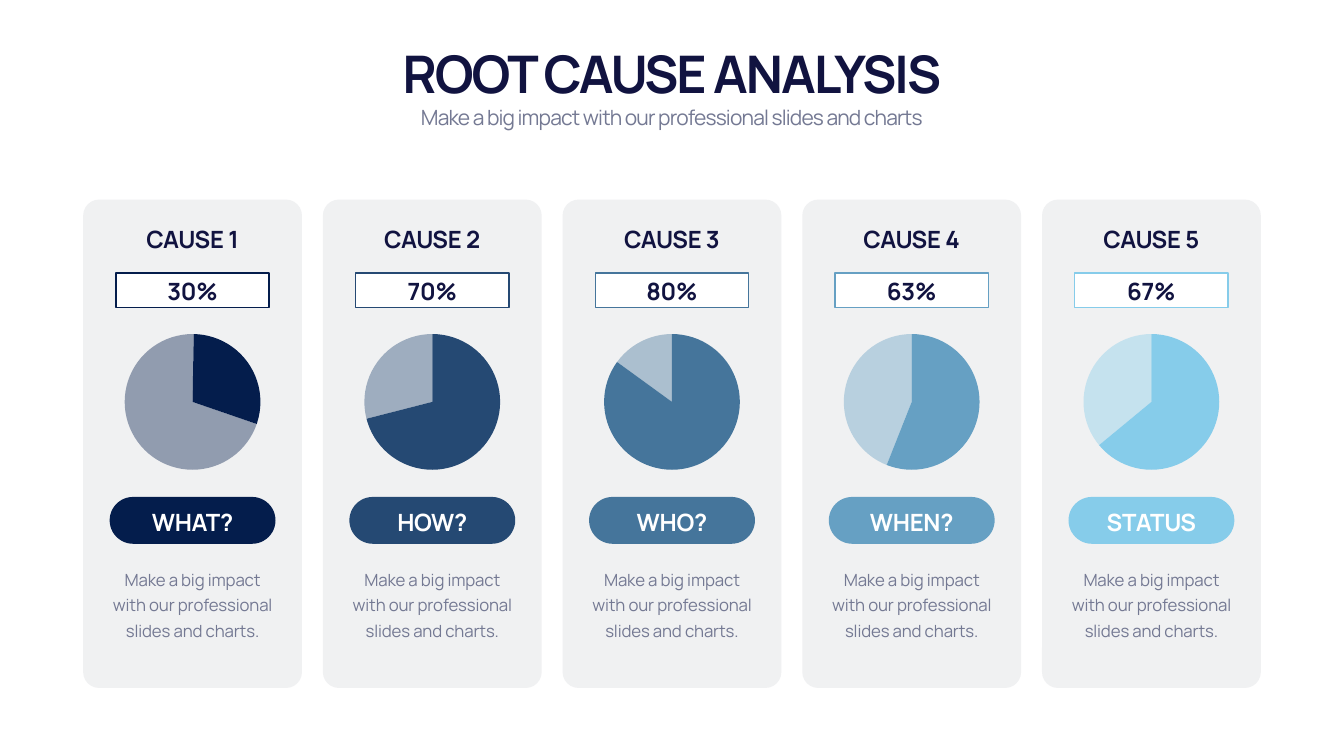
from pptx import Presentation
from pptx.chart import data
from pptx.dml.color import RGBColor
from pptx.enum import chart as charts, shapes, text
from pptx.oxml import parse_xml
from pptx.oxml.ns import nsdecls, qn
from pptx.util import Inches, Pt
from lxml import etree

FONT = "Manrope"
NAVY, GREY, WHITE, PANEL = "111340", "747993", "FFFFFF", "C4C8CE"
BLURB = "Make a big impact with our professional slides and charts."

# Label, percentage, colour, pie values, start angle, index of the solid slice
CAUSES = [
    ("WHAT?", "30%", "041D4C", (70, 30), 109, 1),
    ("HOW?", "70%", "254973", (71, 29), 0, 0),
    ("WHO?", "80%", "45759B", (85, 15), 0, 0),
    ("WHEN?", "63%", "66A0C3", (56, 44), 0, 0),
    ("STATUS", "67%", "86CCEA", (64, 36), 0, 0),
]

HEAD = dict(size=34, color=NAVY, bold=True, gap=-0.3)
BODY = dict(size=24, color=GREY, bold=False, gap=-0.2)


def paint(fill, color, alpha=100):
    fill.solid()
    fill.fore_color.rgb = RGBColor.from_string(color)
    if alpha < 100:
        tone = fill._xPr.find(".//" + qn("a:srgbClr"))
        etree.SubElement(tone, qn("a:alpha")).set("val", str(alpha * 1000))


def place(shape, box):
    for name, value in zip(("left", "top", "width", "height"), box):
        setattr(shape, name, Inches(value))


def write(shape, words, size, color, bold, gap, anchor="MIDDLE", pad=0, lead=None):
    frame = shape.text_frame
    look = dict(word_wrap=True, auto_size=text.MSO_AUTO_SIZE.NONE,
                vertical_anchor=text.MSO_ANCHOR[anchor],
                margin_left=Inches(0.1), margin_right=Inches(0.1),
                margin_top=Inches(pad), margin_bottom=Inches(pad))
    for name, value in look.items():
        setattr(frame, name, value)
    para = frame.paragraphs[0]
    form = dict(alignment=text.PP_ALIGN.CENTER, space_before=Pt(0),
                line_spacing=Pt(lead) if lead else 1.0)
    for name, value in form.items():
        setattr(para, name, value)
    run = para.add_run()
    run.text = words
    for name, value in dict(name=FONT, size=Pt(size), bold=bold).items():
        setattr(run.font, name, value)
    run.font.color.rgb = RGBColor.from_string(color)
    run._r.get_or_add_rPr().set("spc", str(round(gap * 100)))


def label(slide, box, words, **style):
    write(slide.shapes.add_textbox(*map(Inches, box)), words, **style)


def block(slide, kind, box, color, alpha=100, edge=None, bend=None):
    shape = slide.shapes.add_shape(shapes.MSO_SHAPE[kind], *map(Inches, box))
    shape.shadow.inherit = False
    paint(shape.fill, color, alpha)
    if edge:
        paint(shape.line.fill, edge)
        shape.line.width = Pt(2)
    else:
        shape.line.fill.background()
    if bend:
        shape.adjustments[0] = bend


def pie(slide, box, color, values, start, solid):
    source = data.CategoryChartData()
    source.categories = ["1", "2"]
    source.add_series("Series 1", values)
    chart = slide.shapes.add_chart(
        charts.XL_CHART_TYPE.PIE, *map(Inches, box), source).chart
    chart.has_legend = chart.has_title = False
    chart.font.name, chart.font.size = "Calibri", Pt(10)
    chart.font.color.rgb = RGBColor.from_string(GREY)
    plot = chart.plots[0]
    plot.vary_by_categories = True
    for i in range(len(values)):
        form = plot.series[0].points[i].format
        paint(form.fill, color, 100 if i == solid else 40)
        form.line.fill.background()

    # Start angle and plot size
    root = plot._element
    for old in root.findall(qn("c:firstSliceAng")):
        root.remove(old)
    etree.SubElement(root, qn("c:firstSliceAng")).set("val", str(start))
    area = root.getparent()
    for old in area.findall(qn("c:layout")):
        area.remove(old)
    sizes = dict(x=0.045, y=0.045, w=0.91, h=0.91)
    area.insert(0, parse_xml(
        f'<c:layout {nsdecls("c")}><c:manualLayout><c:layoutTarget val="inner"/>'
        '<c:xMode val="edge"/><c:yMode val="edge"/>'
        + "".join(f'<c:{k} val="{v}"/>' for k, v in sizes.items())
        + "</c:manualLayout></c:layout>"))


def header(slide, box):
    x, y, w, h = box
    title, sub = slide.placeholders
    place(title, (x, y, w, 1.4))
    write(title, "ROOT CAUSE ANALYSIS", 74, NAVY, True, -2.9, "TOP")
    place(sub, (x, y + 1.25, w, h - 1.25))
    write(sub, "Make a big impact with our professional slides and charts",
          30, GREY, False, -1.2, "TOP")


def card(slide, box, number, cause):
    name, share, color, values, start, solid = cause
    x, y, w, h = box

    def mid(top, wide, high):
        return x + (w - wide) / 2, y + top, wide, high

    # Panel, pill and percentage frame
    block(slide, "ROUNDED_RECTANGLE", box, PANEL, alpha=25, bend=0.073)
    block(slide, "ROUNDED_RECTANGLE", mid(5.9, 3.29, 0.93), color, bend=0.5)
    block(slide, "RECTANGLE", mid(1.46, 3.04, 0.68), WHITE, edge=color)
    pie(slide, mid(2.53, 2.96, 2.97), color, values, start, solid)

    # Texts
    label(slide, mid(0.39, 3.54, 0.67), f"CAUSE {number}", anchor="BOTTOM", **HEAD)
    label(slide, mid(1.47, 2.75, 0.67), share, **HEAD)
    label(slide, mid(6.02, 2.75, 0.67), name, anchor="BOTTOM",
          **{**HEAD, "color": WHITE})
    label(slide, mid(7.2, 3.54, 2.09), BLURB, anchor="TOP", pad=0.05, lead=36, **BODY)


def main():
    deck = Presentation()
    deck.slide_width, deck.slide_height = Inches(26.66), Inches(15)
    slide = deck.slides.add_slide(deck.slide_layouts[0])
    paint(slide.background.fill, WHITE)
    header(slide, (1.66, 0.82, 23.33, 1.86))
    wide, count = 4.34, len(CAUSES)
    step = (23.36 - wide) / (count - 1)
    for i, cause in enumerate(CAUSES):
        card(slide, (1.65 + i * step, 3.96, wide, 9.69), i + 1, cause)
    deck.save("out.pptx")


if __name__ == "__main__":
    main()
